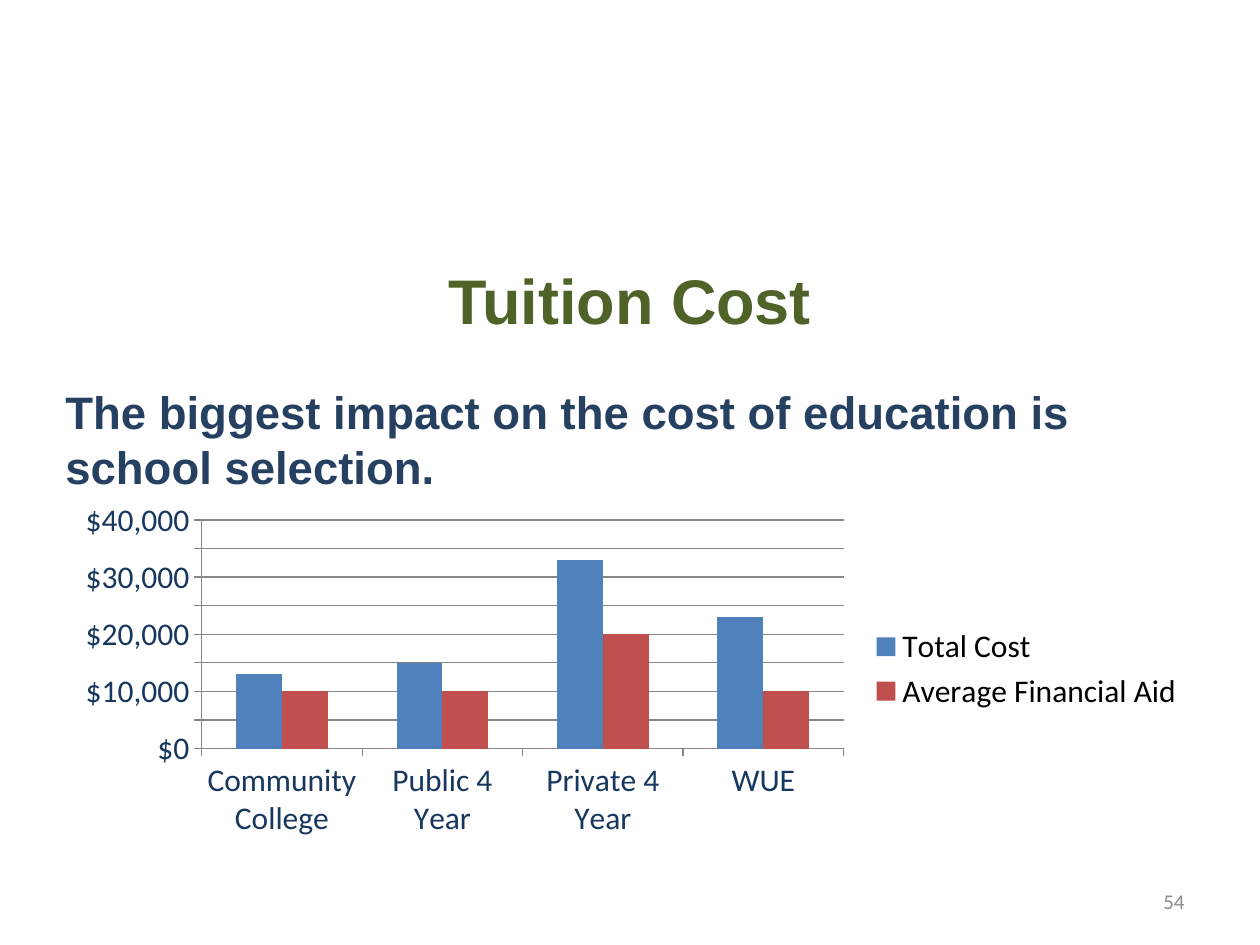
from pptx import Presentation
from pptx.chart.data import CategoryChartData
from pptx.dml.color import RGBColor
from pptx.enum.chart import XL_CHART_TYPE, XL_LEGEND_POSITION, XL_TICK_MARK
from pptx.enum.text import MSO_ANCHOR, PP_ALIGN
from pptx.util import Inches, Pt

COLORS = {
    "title": "4F6228",
    "message": "254061",
    "axis_text": "17375E",
    "axis_line": "878787",
    "legend": "000000",
    "page": "8C8C8C",
    "Total Cost": "4F81BD",
    "Average Financial Aid": "C0504D",
}
COSTS = {
    "Total Cost": (13000, 15000, 33000, 23000),
    "Average Financial Aid": (10000, 10000, 20000, 10000),
}


def color(name):
    return RGBColor.from_string(COLORS[name])


def style_text(frame, size, font, color_name, bold=False, align=PP_ALIGN.LEFT):
    for paragraph in frame.paragraphs:
        paragraph.alignment = align
        for run in paragraph.runs:
            run.font.size = Pt(size)
            run.font.name = font
            run.font.bold = bold
            run.font.color.rgb = color(color_name)


prs = Presentation()
prs.slide_width, prs.slide_height = Inches(10), Inches(7.5)
slide = prs.slides.add_slide(prs.slide_layouts[5])
margin = prs.slide_width // 20
content_width = prs.slide_width - 2 * margin

# Heading and message
heading = slide.shapes.title
heading.left, heading.top = margin, Inches(2)
heading.width, heading.height = content_width, prs.slide_height // 10
heading.text_frame.text = "Tuition Cost"
heading.text_frame.vertical_anchor = MSO_ANCHOR.MIDDLE
style_text(heading.text_frame, 36, "Arial", "title", True, PP_ALIGN.CENTER)

# Cost and aid by school type
cost_data = CategoryChartData(number_format='"$"#,##0')
cost_data.categories = ["Community College", "Public 4 Year", "Private 4 Year", "WUE"]
for name, amounts in COSTS.items():
    cost_data.add_series(name, amounts)
chart = slide.shapes.add_chart(
    XL_CHART_TYPE.COLUMN_CLUSTERED, margin, Inches(3.92),
    content_width, Inches(2.78), cost_data).chart
chart.has_title = False
chart.font.size = Pt(18)
chart.font.name = "Calibri"
chart.font.color.rgb = color("legend")
chart.has_legend = True
chart.legend.position = XL_LEGEND_POSITION.RIGHT
chart.legend.include_in_layout = False

bars = chart.plots[0]
bars.gap_width = 150
bars.overlap = 0
bars.vary_by_categories = False
for series in bars.series:
    series.format.fill.solid()
    series.format.fill.fore_color.rgb = color(series.name)

dollars = chart.value_axis
dollars.minimum_scale, dollars.maximum_scale = 0, 40000
dollars.major_unit = 5000
dollars.tick_labels.number_format = '"$"#,##0'
dollars.tick_labels.number_format_is_linked = False
dollars.has_major_gridlines = True
dollars.major_gridlines.format.line.color.rgb = color("axis_line")
for axis in (chart.category_axis, dollars):
    axis.major_tick_mark = XL_TICK_MARK.OUTSIDE
    axis.format.line.color.rgb = color("axis_line")
    axis.tick_labels.font.size = Pt(18)
    axis.tick_labels.font.name = "Calibri"
    axis.tick_labels.font.color.rgb = color("axis_text")

message = slide.shapes.add_textbox(
    Inches(0.42), Inches(3), Inches(8.35), Inches(0.98)).text_frame
message.word_wrap = False
message.text = "The biggest impact on the cost of education is \vschool selection."
style_text(message, 26, "Arial", "message", True)

# Page number
page = slide.shapes.add_textbox(
    Inches(7.17), Inches(6.95), Inches(2.33), Inches(0.4)).text_frame
page.word_wrap = True
page.vertical_anchor = MSO_ANCHOR.MIDDLE
page.text = "54"
style_text(page, 12, "Calibri", "page", align=PP_ALIGN.RIGHT)

prs.save("out.pptx")
